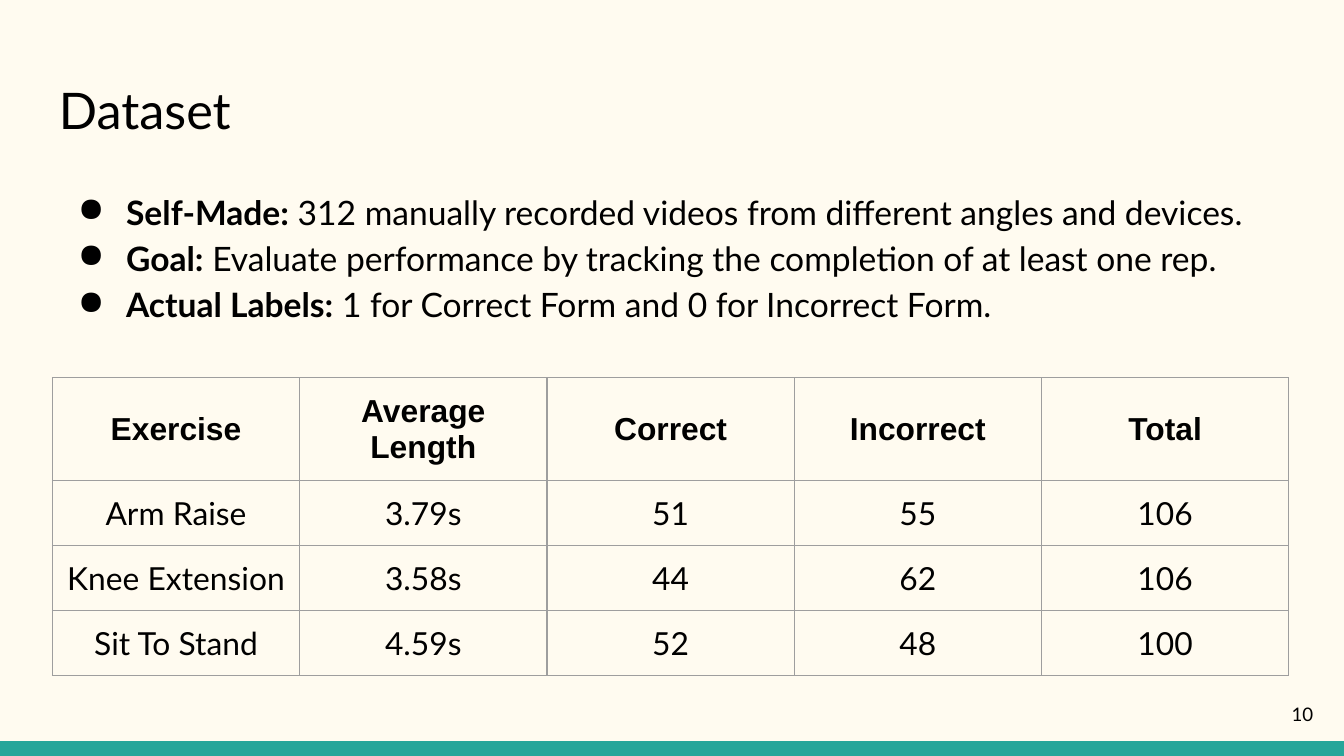
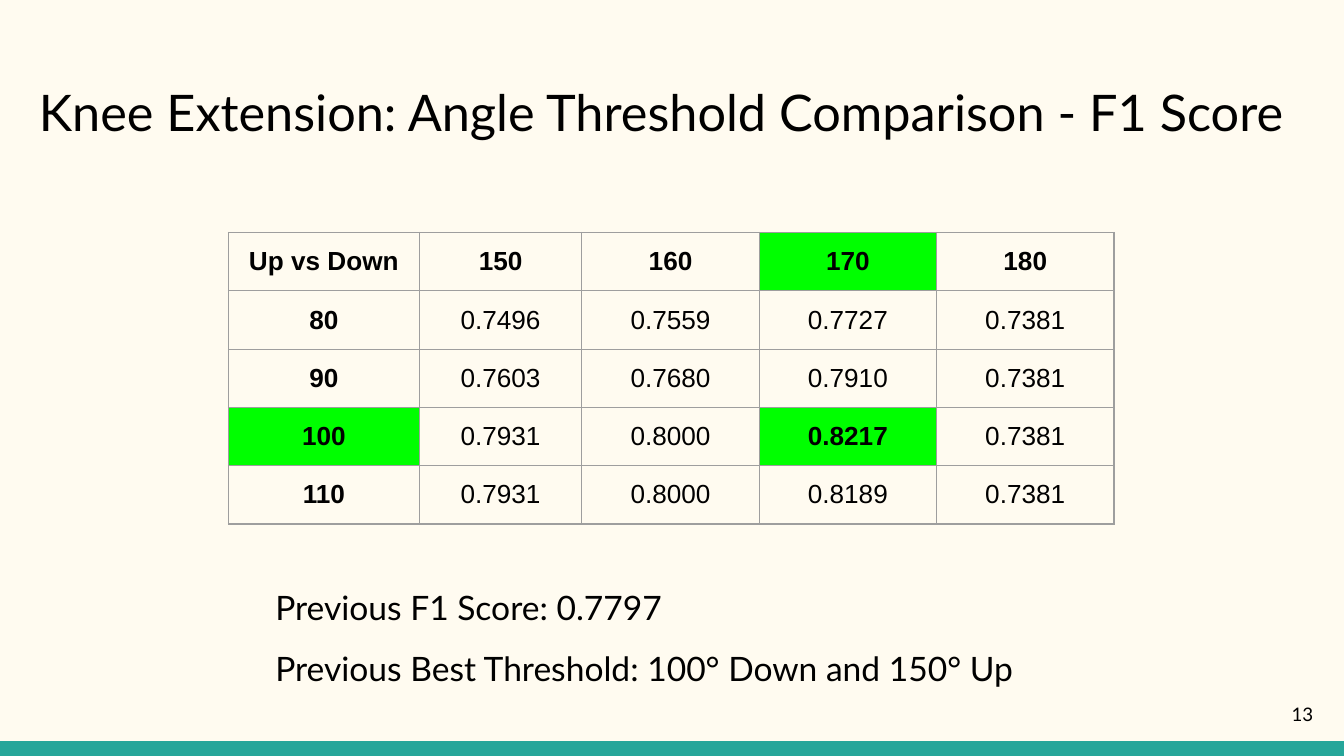
from dataclasses import dataclass

from lxml.etree import SubElement
from pptx import Presentation
from pptx.dml.color import RGBColor
from pptx.enum.shapes import MSO_SHAPE
from pptx.enum.text import MSO_ANCHOR, PP_ALIGN
from pptx.oxml.ns import qn
from pptx.util import Inches, Pt


@dataclass(frozen=True)
class Theme:
    background: str = "FFFBF0"
    band: str = "26A69A"
    ink: str = "000000"
    border: str = "9E9E9E"
    highlight: str = "00FF00"
    text_font: str = "Lato"
    table_font: str = "Arial"
    title_size: int = 27
    body_size: int = 18
    large_table_size: int = 17
    small_table_size: int = 14
    number_size: int = 10
    border_width: float = 0.75
    inset: float = 0.1


class Slides:
    WIDTH, HEIGHT, BAND_HEIGHT = 10, 5.625, 0.11

    def __init__(self, theme):
        self.theme = theme
        self.deck = Presentation()
        self.deck.slide_width = Inches(self.WIDTH)
        self.deck.slide_height = Inches(self.HEIGHT)
        self.page = None

    def add_page(self, number):
        """Start a page with the shared background, band and page number."""
        self.page = self.deck.slides.add_slide(self.deck.slide_layouts[6])
        self.paint(self.page.background.fill, self.theme.background)
        band = self.page.shapes.add_shape(
            MSO_SHAPE.RECTANGLE, 0, Inches(self.HEIGHT - self.BAND_HEIGHT),
            Inches(self.WIDTH), Inches(self.BAND_HEIGHT))
        band.shadow.inherit = False
        self.paint(band.fill, self.theme.band)
        band.line.fill.background()
        self.add_text(str(number), 9.27, 5.1, 0.6, 0.43, self.theme.number_size,
                      PP_ALIGN.RIGHT, MSO_ANCHOR.MIDDLE)

    def paint(self, fill, color):
        fill.solid()
        fill.fore_color.rgb = RGBColor.from_string(color)

    def style_font(self, paragraph, size, name=None, bold=False):
        font = paragraph.font
        font.name = name or self.theme.text_font
        font.size = Pt(size)
        font.bold = bold
        font.color.rgb = RGBColor.from_string(self.theme.ink)

    def set_margins(self, target):
        inset = Inches(self.theme.inset)
        target.margin_left = target.margin_right = inset
        target.margin_top = target.margin_bottom = inset

    def add_frame(self, left, top, width, height, anchor=MSO_ANCHOR.TOP):
        box = self.page.shapes.add_textbox(
            Inches(left), Inches(top), Inches(width), Inches(height))
        frame = box.text_frame
        frame.word_wrap = True
        frame.vertical_anchor = anchor
        self.set_margins(frame)
        return frame

    def add_text(self, text, left, top, width, height, size,
                 align=PP_ALIGN.LEFT, anchor=MSO_ANCHOR.TOP):
        para = self.add_frame(left, top, width, height, anchor).paragraphs[0]
        para.text = text
        para.alignment = align
        self.style_font(para, size)

    def add_title(self, text, left, top):
        """Place a title with equal margins left and right."""
        self.add_text(text, left, top, self.WIDTH - 2 * left, 0.67, self.theme.title_size)

    def add_bullets(self, items, left, top, width, height):
        """Add bullets from pairs of a bold label and its description."""
        frame = self.add_frame(left, top, width, height)
        for index, (label, description) in enumerate(items):
            para = frame.add_paragraph() if index else frame.paragraphs[0]
            para.line_spacing = 1.15
            properties = para._p.get_or_add_pPr()
            properties.set("marL", str(Inches(0.5)))
            properties.set("indent", str(Inches(-0.36)))
            color = SubElement(properties, qn("a:buClr"))
            SubElement(color, qn("a:srgbClr"), val=self.theme.ink)
            SubElement(properties, qn("a:buChar"), char="●")
            self.style_font(para, self.theme.body_size)
            span = para.add_run()
            span.text = label
            span.font.bold = True
            para.add_run().text = f" {description}"

    def add_borders(self, cell):
        properties = cell._tc.get_or_add_tcPr()
        for side in ("lnL", "lnR", "lnT", "lnB"):
            line = SubElement(properties, qn(f"a:{side}"), w=str(Pt(self.theme.border_width)))
            fill = SubElement(line, qn("a:solidFill"))
            SubElement(fill, qn("a:srgbClr"), val=self.theme.border)

    def add_table(self, rows, left, top, widths, heights, size, body_font,
                  bold_first_column=False, highlights=(), bold_cells=()):
        table = self.page.shapes.add_table(
            len(rows), len(widths), Inches(left), Inches(top),
            Inches(sum(widths)), Inches(sum(heights))).table
        table.first_row = table.horz_banding = False
        for column, width in zip(table.columns, widths):
            column.width = Inches(width)
        for row, height in zip(table.rows, heights):
            row.height = Inches(height)
        for r, values in enumerate(rows):
            for c, value in enumerate(values):
                cell = table.cell(r, c)
                self.set_margins(cell)
                cell.vertical_anchor = MSO_ANCHOR.MIDDLE
                self.add_borders(cell)
                if (r, c) in highlights:
                    self.paint(cell.fill, self.theme.highlight)
                else:
                    cell.fill.background()
                para = cell.text_frame.paragraphs[0]
                para.text = value
                para.alignment = PP_ALIGN.CENTER
                bold = r == 0 or (bold_first_column and c == 0) or (r, c) in bold_cells
                self.style_font(para, size, body_font if r else self.theme.table_font, bold)


def build_dataset(slides):
    theme = slides.theme
    slides.add_page(10)
    slides.add_title("Dataset", 0.34, 0.49)
    slides.add_bullets([
        ("Self-Made:", "312 manually recorded videos from different angles and devices."),
        ("Goal:", "Evaluate performance by tracking the completion of at least one rep."),
        ("Actual Labels:", "1 for Correct Form and 0 for Incorrect Form."),
    ], 0.34, 1.28, 9.32, 1.61)
    exercises = [
        ("Exercise", "Average Length", "Correct", "Incorrect", "Total"),
        ("Arm Raise", "3.79s", "51", "55", "106"),
        ("Knee Extension", "3.58s", "44", "62", "106"),
        ("Sit To Stand", "4.59s", "52", "48", "100"),
    ]
    slides.add_table(exercises, 0.39, 2.81, [1.84] * 5, [0.73] + [0.48] * 3,
                     theme.large_table_size, theme.text_font)


def build_threshold_comparison(slides):
    theme = slides.theme
    slides.add_page(13)
    slides.add_title("Knee Extension: Angle Threshold Comparison - F1 Score", 0.19, 0.5)
    scores = [
        ("Up vs Down", "150", "160", "170", "180"),
        ("80", "0.7496", "0.7559", "0.7727", "0.7381"),
        ("90", "0.7603", "0.7680", "0.7910", "0.7381"),
        ("100", "0.7931", "0.8000", "0.8217", "0.7381"),
        ("110", "0.7931", "0.8000", "0.8189", "0.7381"),
    ]
    best = (3, 3)
    best_row, best_column = best
    slides.add_table(scores, 1.7, 1.73, [1.42, 1.21] + [1.32] * 3, [0.42] * 5,
                     theme.small_table_size, theme.table_font, bold_first_column=True,
                     highlights={(0, best_column), (best_row, 0), best}, bold_cells={best})
    previous_results = [
        "Previous F1 Score: 0.7797",
        "Previous Best Threshold: 100° Down and 150° Up",
    ]
    for index, text in enumerate(previous_results):
        slides.add_text(text, 1.95, 4.27 + 0.45 * index, 6.1, 0.5, theme.body_size)


def main():
    slides = Slides(Theme())
    build_dataset(slides)
    build_threshold_comparison(slides)
    slides.deck.save("out.pptx")


if __name__ == "__main__":
    main()
